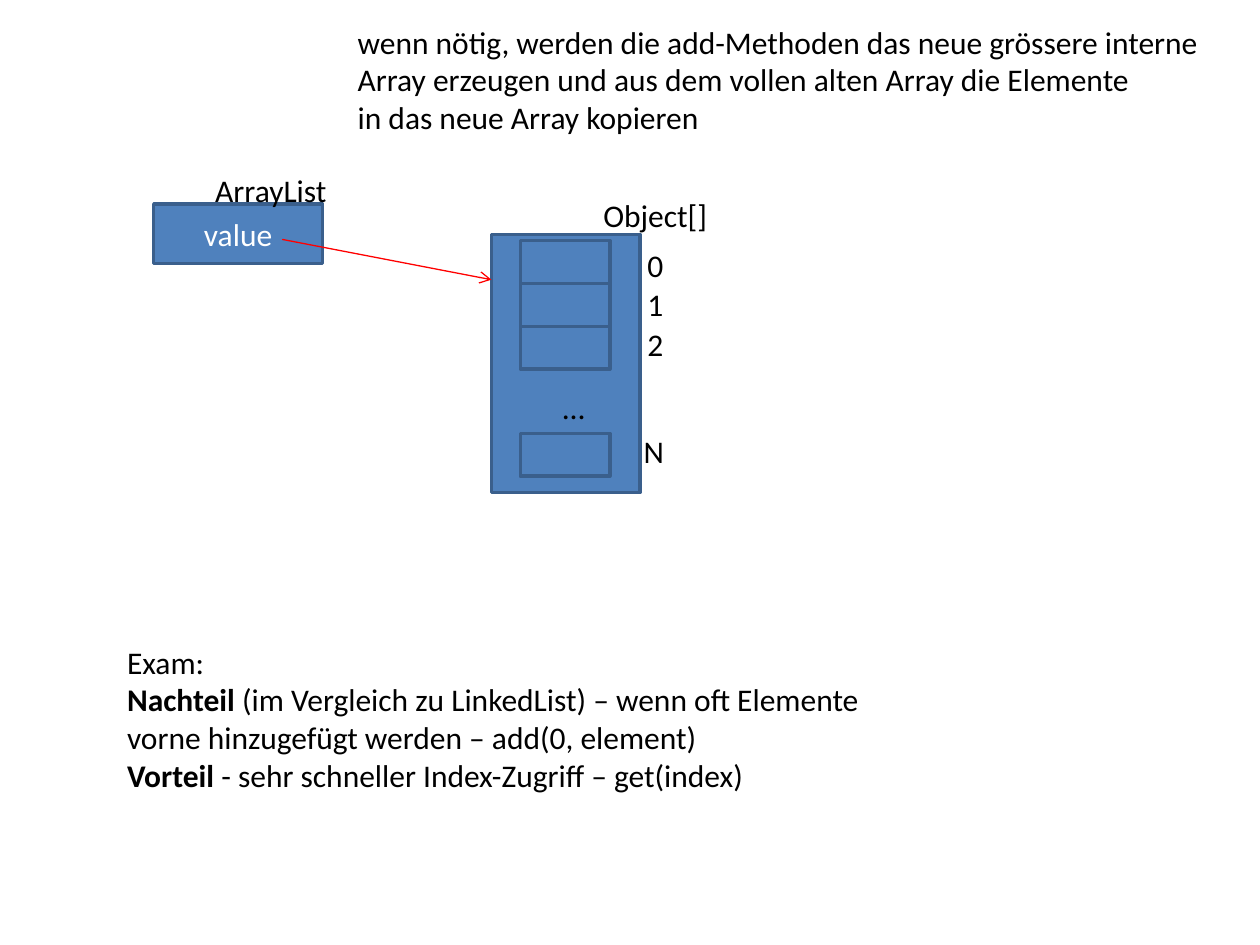
from dataclasses import dataclass

from lxml import etree
from pptx import Presentation
from pptx.dml.color import RGBColor
from pptx.enum.shapes import MSO_CONNECTOR, MSO_SHAPE
from pptx.enum.text import MSO_ANCHOR, MSO_AUTO_SIZE, PP_ALIGN
from pptx.oxml.ns import qn
from pptx.util import Inches, Pt

RECTANGLE = MSO_SHAPE.RECTANGLE
STRAIGHT = MSO_CONNECTOR.STRAIGHT
MIDDLE = MSO_ANCHOR.MIDDLE
CENTER = PP_ALIGN.CENTER
GROW = MSO_AUTO_SIZE.SHAPE_TO_FIT_TEXT

COLORS = {"box": "4F81BD", "border": "3A5F8C", "reference": "FF0000",
          "text": "000000", "value": "FFFFFF"}
FONT = "Calibri"
BLANK_LAYOUT = 6


@dataclass
class Span:
    text: str
    bold: bool = False


@dataclass
class Box:
    left: float
    top: float
    width: float
    height: float
    text: str = ""


@dataclass
class Label:
    left: float
    top: float
    width: float
    height: float
    lines: list[list[Span]]
    wrap: bool = False


def color(name: str) -> RGBColor:
    return RGBColor.from_string(COLORS[name])


def add_span(paragraph, span: Span, color_name: str) -> None:
    run = paragraph.add_run()
    run.text = span.text
    run.font.name = FONT
    run.font.size = Pt(18)
    run.font.bold = span.bold
    run.font.color.rgb = color(color_name)


def draw_box(slide, box: Box) -> None:
    shape = slide.shapes.add_shape(RECTANGLE, Inches(box.left), Inches(box.top),
                                   Inches(box.width), Inches(box.height))
    shape.shadow.inherit = False
    shape.fill.solid()
    shape.fill.fore_color.rgb = color("box")
    shape.line.color.rgb = color("border")
    shape.line.width = Pt(2)
    if box.text:
        shape.text_frame.vertical_anchor = MIDDLE
        paragraph = shape.text_frame.paragraphs[0]
        paragraph.alignment = CENTER
        add_span(paragraph, Span(box.text), "value")


def draw_label(slide, label: Label) -> None:
    frame = slide.shapes.add_textbox(Inches(label.left), Inches(label.top),
                                     Inches(label.width), Inches(label.height)).text_frame
    frame.word_wrap = label.wrap
    frame.auto_size = GROW
    for number, line in enumerate(label.lines):
        paragraph = frame.add_paragraph() if number else frame.paragraphs[0]
        for span in line:
            add_span(paragraph, span, "text")


def draw_reference(slide, start: tuple[float, float], end: tuple[float, float]) -> None:
    reference = slide.shapes.add_connector(STRAIGHT, Inches(start[0]), Inches(start[1]),
                                           Inches(end[0]), Inches(end[1]))
    reference.line.color.rgb = color("reference")
    reference.line.width = Pt(0.75)
    etree.SubElement(reference.line._get_or_add_ln(), qn("a:tailEnd"), type="arrow")
    etree.SubElement(reference._element.spPr, qn("a:effectLst"))


CELL_TOPS = [1.91 + 0.34 * index for index in range(3)] + [3.44]
BOXES = [
    Box(1.22, 1.62, 1.34, 0.47, "value"),
    Box(3.9, 1.86, 1.18, 2.05),
    *(Box(4.13, top, 0.71, 0.34) for top in CELL_TOPS),
]
INDEX_LABELS = [
    Label(5.04, 1.9 + 0.315 * index, 0.33, 0.4, [[Span(str(index))]])
    for index in range(3)
]
LABELS = [
    Label(1.61, 1.31, 1.09, 0.4, [[Span("ArrayList")]]),
    Label(4.69, 1.51, 1.03, 0.4, [[Span("Object[]")]]),
    Label(4.37, 3.03, 0.24, 0.4, [[Span("…")]], wrap=True),
    *INDEX_LABELS,
    Label(5.01, 3.38, 0.36, 0.4, [[Span("N")]]),
    Label(2.74, 0.13, 7.02, 1.01, [
        [Span("wenn nötig, werden die add-Methoden das neue grössere interne ")],
        [Span("Array erzeugen und aus dem vollen alten Array die Elemente")],
        [Span("in das neue Array kopieren")],
    ]),
    Label(0.91, 5.05, 6.15, 1.31, [
        [Span("Exam:")],
        [Span("Nachteil", True),
         Span(" (im Vergleich zu LinkedList) – wenn oft Elemente ")],
        [Span("vorne hinzugefügt werden – add(0, element)")],
        [Span("Vorteil ", True),
         Span("- sehr schneller Index-Zugriff – get(index)")],
    ]),
]

presentation = Presentation()
presentation.slide_width = Inches(10)
presentation.slide_height = Inches(7.5)
slide = presentation.slides.add_slide(presentation.slide_layouts[BLANK_LAYOUT])

for box in BOXES:
    draw_box(slide, box)
for label in LABELS:
    draw_label(slide, label)
draw_reference(slide, (2.24, 1.9), (3.9, 2.22))

presentation.save("out.pptx")
